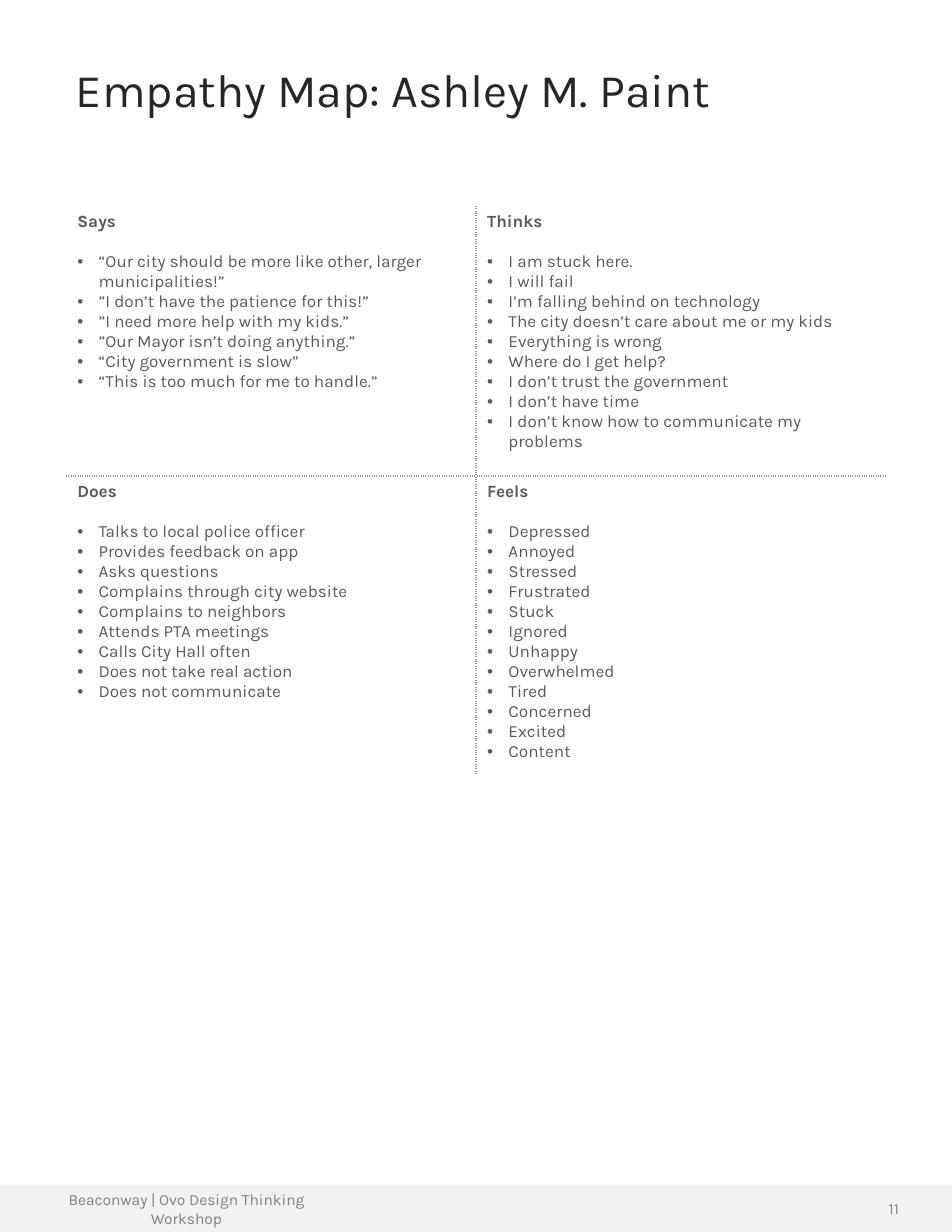
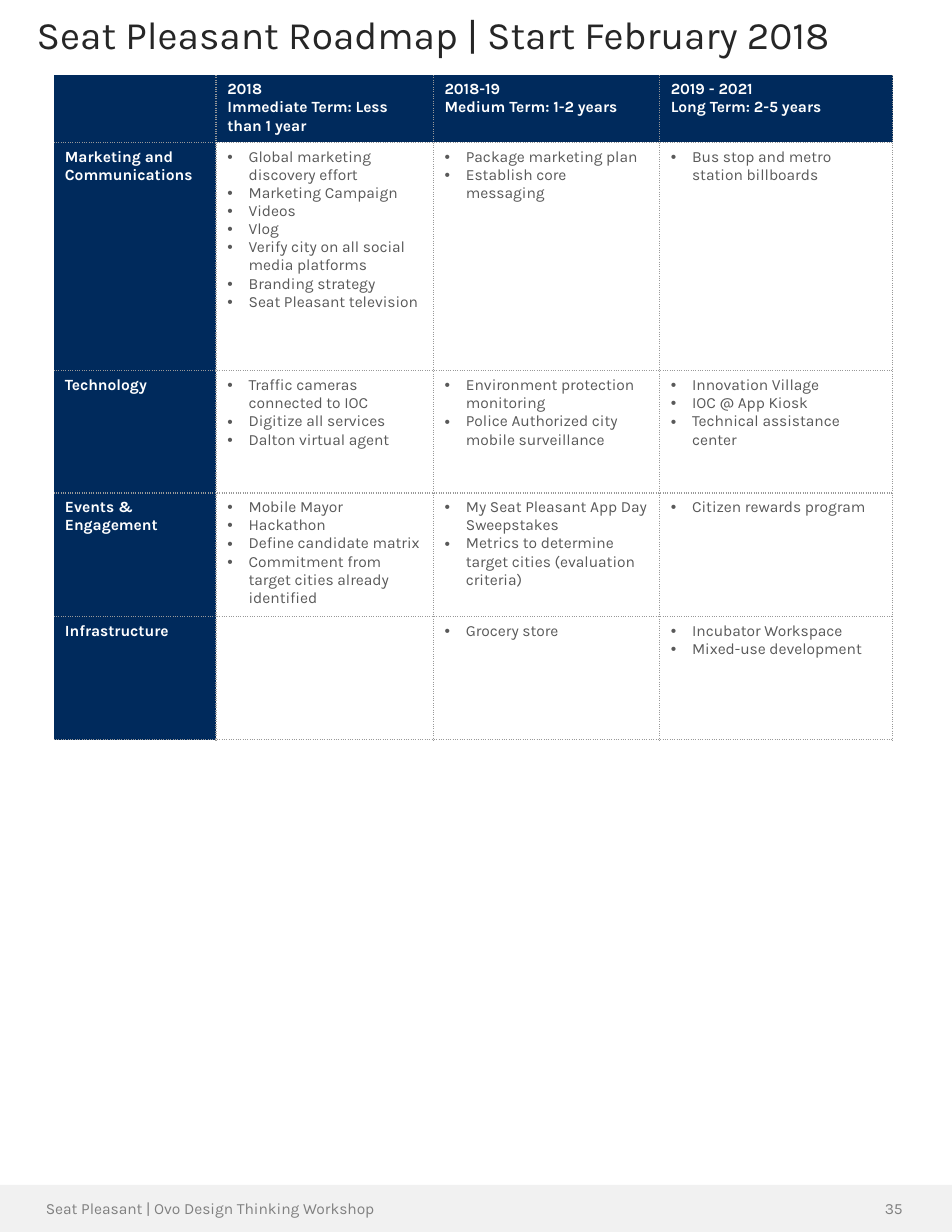
from dataclasses import dataclass

from lxml.etree import SubElement
from pptx import Presentation
from pptx.dml.color import RGBColor as Color
from pptx.enum.shapes import MSO_SHAPE as Preset
from pptx.enum.text import MSO_ANCHOR as Anchor, PP_ALIGN as Align
from pptx.oxml.ns import qn
from pptx.util import Inches, Pt


@dataclass(frozen=True)
class Theme:
    font: str = "Karla"
    title: str = "262626"
    body: str = "595959"
    footer: str = "808080"
    band: str = "F1F1F1"
    navy: str = "002A5C"
    white: str = "FFFFFF"
    rule: str = "999999"
    map_size: float = 11
    roadmap_size: float = 10
    footer_size: float = 10
    heading_gap: float = 12.9
    indent: float = 0.19


THEME = Theme()
PAGE_WIDTH, PAGE_HEIGHT, BAND_HEIGHT = 8.5, 11, 0.42
BAND_TOP = PAGE_HEIGHT - BAND_HEIGHT

EMPATHY_MAP = [
    [
        ("Says", [
            "“Our city should be more like other, larger municipalities!”",
            "”I don’t have the patience for this!”",
            "”I need more help with my kids.”",
            "”Our Mayor isn’t doing anything.”",
            "“City government is slow”",
            "“This is too much for me to handle.”",
        ]),
        ("Thinks", [
            "I am stuck here.",
            "I will fail",
            "I’m falling behind on technology",
            "The city doesn’t care about me or my kids",
            "Everything is wrong",
            "Where do I get help?",
            "I don’t trust the government",
            "I don’t have time",
            "I don’t know how to communicate my problems",
        ]),
    ],
    [
        ("Does", [
            "Talks to local police officer",
            "Provides feedback on app",
            "Asks questions",
            "Complains through city website",
            "Complains to neighbors",
            "Attends PTA meetings",
            "Calls City Hall often",
            "Does not take real action",
            "Does not communicate",
        ]),
        ("Feels", [
            "Depressed", "Annoyed", "Stressed", "Frustrated", "Stuck", "Ignored",
            "Unhappy", "Overwhelmed", "Tired", "Concerned", "Excited", "Content",
        ]),
    ],
]

ROADMAP_TERMS = [
    [],
    ["2018", "Immediate Term: Less than 1 year"],
    ["2018-19", "Medium Term: 1-2 years"],
    ["2019 - 2021", "Long Term: 2-5 years"],
]
ROADMAP_TRACKS = [
    ("Marketing and Communications", [
        ["Global marketing discovery effort", "Marketing Campaign", "Videos", "Vlog",
         "Verify city on all social media platforms", "Branding strategy",
         "Seat Pleasant television"],
        ["Package marketing plan", "Establish core messaging"],
        ["Bus stop and metro station billboards"],
    ]),
    ("Technology", [
        ["Traffic cameras connected to IOC", "Digitize all services",
         "Dalton virtual agent"],
        ["Environment protection monitoring",
         "Police Authorized city mobile surveillance"],
        ["Innovation Village", "IOC @ App Kiosk", "Technical assistance center"],
    ]),
    ("Events & Engagement", [
        ["Mobile Mayor", "Hackathon", "Define candidate matrix",
         "Commitment from target cities already identified"],
        ["My Seat Pleasant App Day Sweepstakes",
         "Metrics to determine target cities (evaluation criteria)"],
        ["Citizen rewards program"],
    ]),
    ("Infrastructure", [
        [],
        ["Grocery store"],
        ["Incubator Workspace", "Mixed-use development"],
    ]),
]

PAGES = [
    {
        "title": "Empathy Map: Ashley M. Paint",
        "title_box": (0.58, 0.55, 7.11, 1.04),
        "title_size": 30,
        "footer": "Beaconway | Ovo Design Thinking Workshop",
        "footer_width": 2.87,
        "number": "11",
    },
    {
        "title": "Seat Pleasant Roadmap | Start February 2018",
        "title_box": (0.23, 0.09, 7.94, 0.51),
        "title_size": 25,
        "footer": "Seat Pleasant | Ovo Design Thinking Workshop",
        "footer_width": 3.29,
        "number": "35",
    },
]


def format_runs(paragraph, size, color, bold=False):
    for run in paragraph.runs:
        run.font.name = THEME.font
        run.font.size = Pt(size)
        run.font.bold = bold
        run.font.color.rgb = Color.from_string(color)


def add_text(slide, text, box, size, color):
    shape = slide.shapes.add_textbox(*map(Inches, box))
    frame = shape.text_frame
    frame.word_wrap = True
    frame.text = text
    paragraph = frame.paragraphs[0]
    format_runs(paragraph, size, color)
    return frame, paragraph


def add_footer_text(slide, text, left, width):
    box = (left, BAND_TOP, width, BAND_HEIGHT)
    frame, paragraph = add_text(slide, text, box, THEME.footer_size, THEME.footer)
    frame.vertical_anchor = Anchor.MIDDLE
    paragraph.alignment = Align.CENTER


def add_page(presentation, page):
    slide = presentation.slides.add_slide(presentation.slide_layouts[6])
    band = slide.shapes.add_shape(
        Preset.RECTANGLE, *map(Inches, (0, BAND_TOP, PAGE_WIDTH, BAND_HEIGHT)))
    band.shadow.inherit = False
    band.fill.solid()
    band.fill.fore_color.rgb = Color.from_string(THEME.band)
    band.line.fill.background()
    _, title = add_text(
        slide, page["title"], page["title_box"], page["title_size"], THEME.title)
    title.line_spacing = 0.9
    add_footer_text(slide, page["number"], 7.69, 0.58)
    add_footer_text(slide, page["footer"], 0.23, page["footer_width"])
    return slide


def set_borders(cell, drawn_sides):
    properties = cell._tc.get_or_add_tcPr()
    for side in "LRTB":
        line = SubElement(properties, qn(f"a:ln{side}"), w=str(Pt(1)))
        if side in drawn_sides:
            fill = SubElement(line, qn("a:solidFill"))
            SubElement(fill, qn("a:srgbClr"), val=THEME.rule)
            SubElement(line, qn("a:prstDash"), val="sysDot")
        else:
            SubElement(line, qn("a:noFill"))


def add_grid(slide, left, top, widths, heights, outer_sides=""):
    frame = slide.shapes.add_table(
        len(heights), len(widths),
        *map(Inches, (left, top, sum(widths), sum(heights))))
    table = frame.table
    table.first_row = table.horz_banding = False
    for column, width in zip(table.columns, widths):
        column.width = Inches(width)
    for row, height in zip(table.rows, heights):
        row.height = Inches(height)
    for row in range(len(heights)):
        for column in range(len(widths)):
            outer = {"L": column == 0, "R": column == len(widths) - 1,
                     "T": row == 0, "B": row == len(heights) - 1}
            cell = table.cell(row, column)
            set_borders(cell, [side for side, edge in outer.items()
                               if not edge or side in outer_sides])
            cell.fill.background()
    return table


def make_bullet(paragraph):
    indent = Inches(THEME.indent)
    properties = paragraph._p.get_or_add_pPr()
    properties.set("marL", str(indent))
    properties.set("indent", str(-indent))
    SubElement(properties, qn("a:buFont"), typeface="Arial")
    SubElement(properties, qn("a:buChar"), char="•")


def write_cell(cell, size, color, headings=(), bullets=()):
    frame = cell.text_frame
    lines = [*headings, *bullets]
    for index, text in enumerate(lines):
        paragraph = frame.add_paragraph() if index else frame.paragraphs[0]
        paragraph.text = text
        is_heading = index < len(headings)
        if not is_heading:
            make_bullet(paragraph)
        elif bullets:
            paragraph.space_after = Pt(THEME.heading_gap)
        format_runs(paragraph, size, color, is_heading)


def write_header(cell, headings):
    cell.fill.solid()
    cell.fill.fore_color.rgb = Color.from_string(THEME.navy)
    write_cell(cell, THEME.roadmap_size, THEME.white, headings)


def build_empathy_map(slide):
    table = add_grid(slide, 0.59, 1.84, [3.66] * 2, [2.41, 2.6])
    for row, quadrants in enumerate(EMPATHY_MAP):
        for column, (heading, bullets) in enumerate(quadrants):
            write_cell(table.cell(row, column), THEME.map_size, THEME.body,
                       [heading], bullets)


def build_roadmap(slide):
    table = add_grid(slide, 0.48, 0.67, [1.45, 1.94, 2.02, 2.08],
                     [0.6, 2.04, 1.09, 1.07, 1.1], "RB")
    for column, term in enumerate(ROADMAP_TERMS):
        write_header(table.cell(0, column), term)
    for row, (track, plans) in enumerate(ROADMAP_TRACKS, 1):
        write_header(table.cell(row, 0), [track])
        for column, plan in enumerate(plans, 1):
            write_cell(table.cell(row, column), THEME.roadmap_size, THEME.body,
                       bullets=plan)


def main():
    presentation = Presentation()
    presentation.slide_width = Inches(PAGE_WIDTH)
    presentation.slide_height = Inches(PAGE_HEIGHT)
    for page, build in zip(PAGES, (build_empathy_map, build_roadmap)):
        build(add_page(presentation, page))
    presentation.save("out.pptx")


if __name__ == "__main__":
    main()
